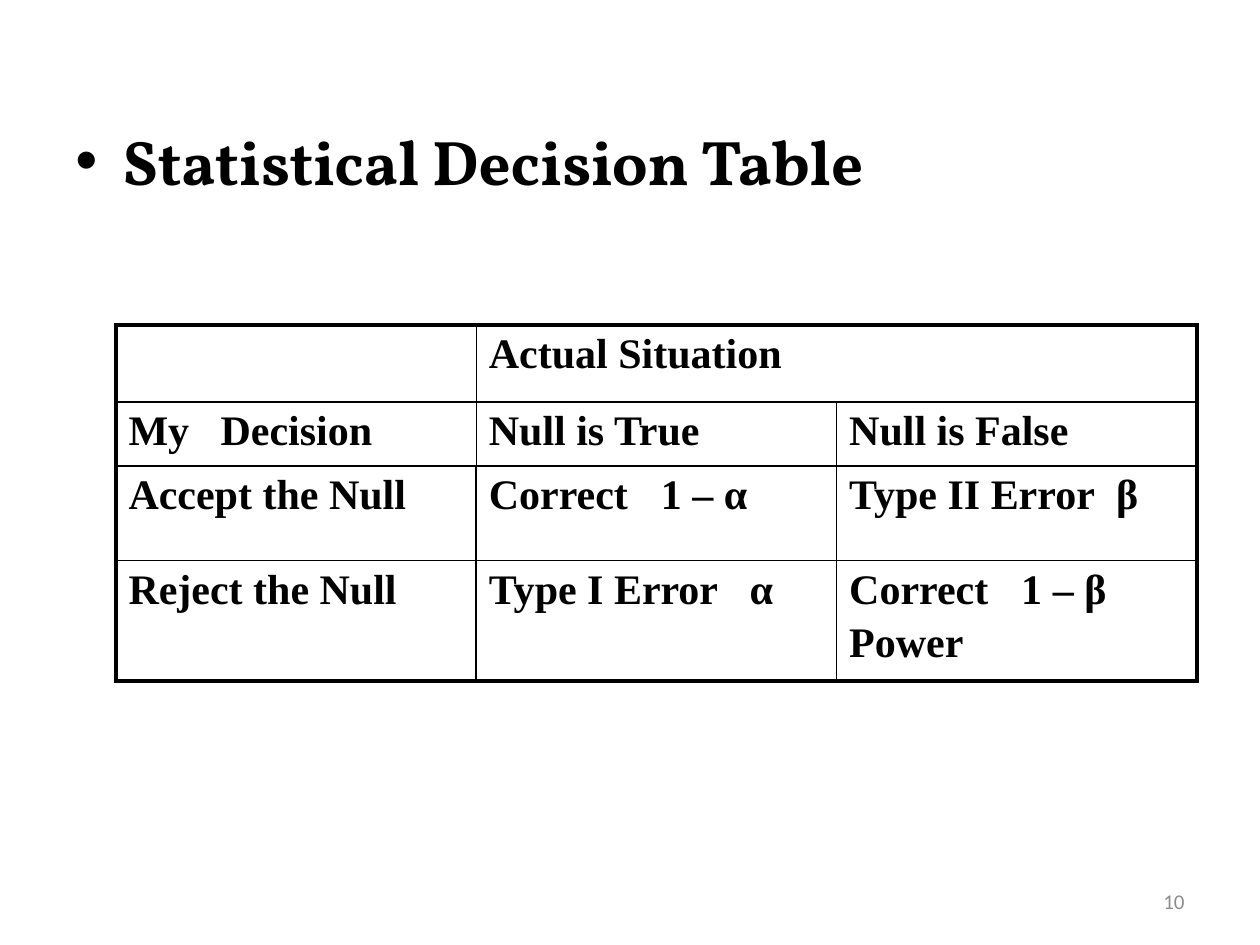
from lxml.etree import SubElement
from pptx import Presentation
from pptx.dml.color import RGBColor
from pptx.enum.text import MSO_ANCHOR as Anchor, PP_ALIGN as Align
from pptx.oxml.ns import qn
from pptx.util import Pt

BLACK = RGBColor(0x00, 0x00, 0x00)
GRAY = RGBColor(0x8C, 0x8C, 0x8C)

TITLE = "Statistical Decision Table"
PAGE_NUMBER = "10"

# Each cell: its paragraphs, the tab stop in points, and the columns it spans.
ROWS = [
    [([], None, 1), (["Actual Situation"], None, 2)],
    [(["My\tDecision"], 52.6, 1), (["Null is True"], None, 1),
     (["Null is False"], None, 1)],
    [(["Accept the Null"], None, 1), (["Correct\t1 – α"], 98.3, 1),
     (["Type II Error\tβ"], 152.6, 1)],
    [(["Reject the Null"], None, 1), (["Type I Error\tα"], 149, 1),
     (["Correct\t1 – β", "Power"], 98.3, 1)],
]
TABLE_LEFT, TABLE_TOP = 66.24, 185.76
COLUMN_WIDTH = 205.92
ROW_HEIGHTS = [43.92, 36.72, 54, 53.28]

# Rule widths: vertical ones by row, then horizontal ones by line and column.
THIN, MEDIUM, THICK = 1, 1.5, 2.25
VERTICAL_RULES = [[THICK, THIN, THIN, THICK]] * 2 + [[THICK, MEDIUM, THIN, THICK]] * 2
HORIZONTAL_RULES = [[THICK] * 3, [THIN] * 3, [THIN, MEDIUM, MEDIUM], [THIN] * 3, [THICK] * 3]


def write_text(frame, lines, *, font, size, color=BLACK, bold=False,
               align=Align.LEFT, gap=0, bullet=None, indent=0, tab=None):
    frame.word_wrap = True
    for number, line in enumerate(lines):
        para = frame.add_paragraph() if number else frame.paragraphs[0]
        para.alignment = align
        if number:
            para.space_before = Pt(gap)
        properties = para._p.get_or_add_pPr()
        if bullet:
            properties.set("marL", str(Pt(indent)))
            properties.set("indent", str(-Pt(indent)))
            SubElement(properties, qn("a:buFont"), typeface="Arial")
            SubElement(properties, qn("a:buChar"), char=bullet)
        if tab:
            stops = SubElement(properties, qn("a:tabLst"))
            SubElement(stops, qn("a:tab"), pos=str(Pt(tab)), algn="l")
        span = para.add_run()
        span.text = line
        span.font.name = font
        span.font.size = Pt(size)
        span.font.bold = bold
        span.font.color.rgb = color


def add_text(page, lines, left, top, width, height, anchor=Anchor.TOP, **text_format):
    box = page.shapes.add_textbox(Pt(left), Pt(top), Pt(width), Pt(height))
    box.text_frame.vertical_anchor = anchor
    write_text(box.text_frame, lines, **text_format)


def set_borders(cell, **widths):
    properties = cell._tc.get_or_add_tcPr()
    for side, width in widths.items():
        line = SubElement(properties, qn(f"a:ln{side}"), w=str(Pt(width)))
        fill = SubElement(line, qn("a:solidFill"))
        SubElement(fill, qn("a:srgbClr"), val=str(BLACK))


def add_decision_table(page):
    columns = len(HORIZONTAL_RULES[0])
    table = page.shapes.add_table(
        len(ROWS), columns, Pt(TABLE_LEFT), Pt(TABLE_TOP),
        Pt(COLUMN_WIDTH * columns), Pt(sum(ROW_HEIGHTS))).table
    table.first_row = table.horz_banding = False
    for column in table.columns:
        column.width = Pt(COLUMN_WIDTH)
    for r, (height, row) in enumerate(zip(ROW_HEIGHTS, ROWS)):
        table.rows[r].height = Pt(height)
        c = 0
        for lines, tab, spanned in row:
            cell = table.cell(r, c)
            if spanned > 1:
                cell.merge(table.cell(r, c + spanned - 1))
            set_borders(cell, L=VERTICAL_RULES[r][c], R=VERTICAL_RULES[r][c + spanned],
                        T=HORIZONTAL_RULES[r][c], B=HORIZONTAL_RULES[r + 1][c])
            cell.fill.background()
            write_text(cell.text_frame, lines, font="Times New Roman", size=24,
                       bold=True, gap=4, tab=tab)
            c += spanned


def main():
    deck = Presentation()
    deck.slide_width, deck.slide_height = Pt(720), Pt(540)
    page = deck.slides.add_slide(deck.slide_layouts[6])
    add_text(page, [TITLE], 36, 66.24, 653.76, 374.4, font="Vollkorn", size=36,
             bold=True, bullet="•", indent=27)
    add_decision_table(page)
    add_text(page, [PAGE_NUMBER], 516.24, 500.4, 167.76, 28.8, anchor=Anchor.MIDDLE,
             font="Calibri", size=12, color=GRAY, align=Align.RIGHT)
    deck.save("out.pptx")


if __name__ == "__main__":
    main()
